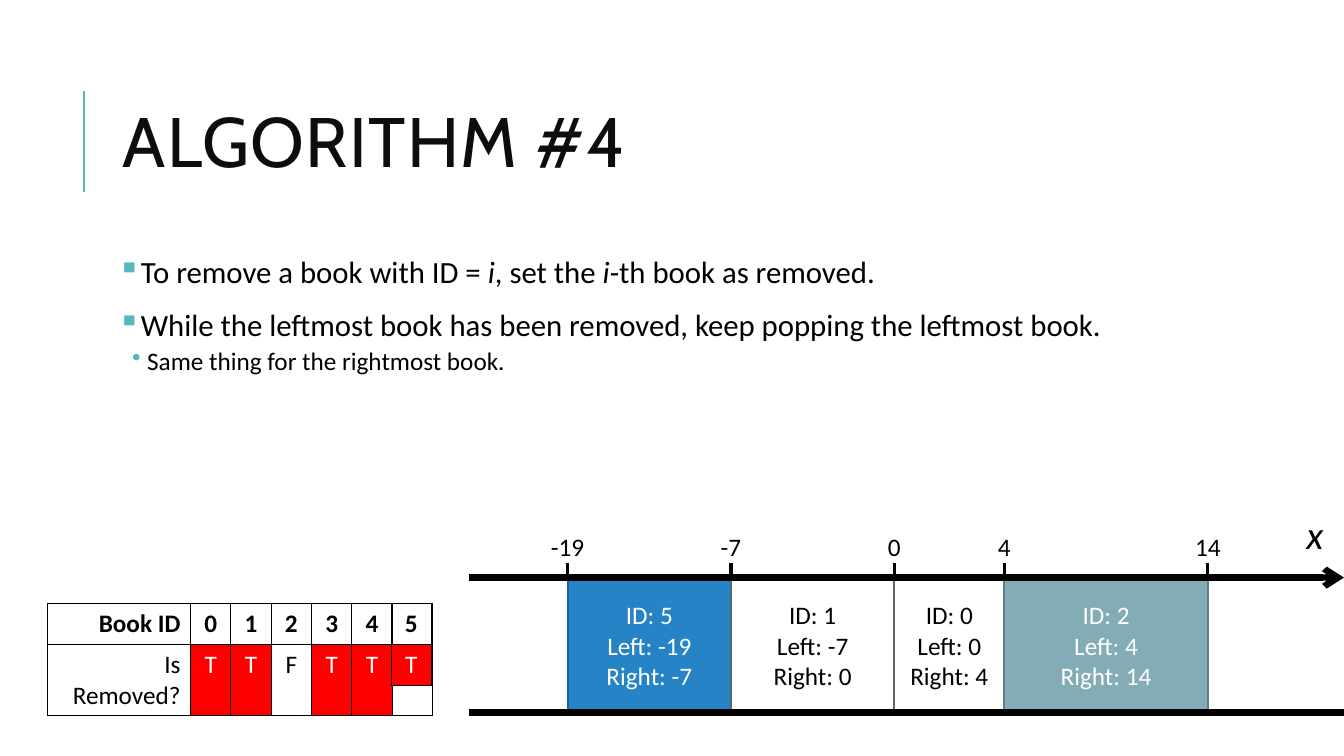
from lxml import etree
from pptx import Presentation
from pptx.dml.color import RGBColor
from pptx.enum import shapes, text
from pptx.oxml import ns
from pptx.util import Inches, Pt

BLACK = RGBColor(0x00, 0x00, 0x00)
WHITE = RGBColor(0xFF, 0xFF, 0xFF)
INK = RGBColor(0x0D, 0x0D, 0x0D)
TEAL = RGBColor(0x58, 0xB6, 0xC0)
RED = RGBColor(0xFF, 0x00, 0x00)
BLUE = RGBColor(0x26, 0x83, 0xC6)
BLUE_EDGE = RGBColor(0x1C, 0x61, 0x92)
SLATE = RGBColor(0x84, 0xAC, 0xB6)
SLATE_EDGE = RGBColor(0x62, 0x7F, 0x87)
GREY_EDGE = RGBColor(0x5A, 0x68, 0x69)

LEFT, CENTER = text.PP_ALIGN.LEFT, text.PP_ALIGN.CENTER
RIGHT, JUSTIFY = text.PP_ALIGN.RIGHT, text.PP_ALIGN.JUSTIFY

BOOKS = [
    (5, -19, -7, 5.63, 7.25, BLUE, BLUE_EDGE, WHITE),
    (1, -7, 0, 7.25, 8.87, WHITE, GREY_EDGE, BLACK),
    (0, 0, 4, 8.87, 9.96, WHITE, GREY_EDGE, BLACK),
    (2, 4, 14, 9.96, 11.98, SLATE, SLATE_EDGE, WHITE),
]


def write(p, words, size=18, font="Calibri", color=BLACK, bold=False, italic=False, align=CENTER):
    """Add one formatted run to a paragraph."""
    p.alignment = align
    r = p.add_run()
    r.text = words
    r.font.size, r.font.name = Pt(size), font
    r.font.bold, r.font.italic = bold, italic
    r.font.color.rgb = color
    return r


def sub(parent, tag, **attrs):
    """Append an XML child with the given attributes."""
    return etree.SubElement(parent, ns.qn(tag), attrs)


def add_line(s, x1, y1, x2, y2, color=BLACK, width=2.25, arrow=False):
    """Draw a straight line, with an arrowhead at its end if asked."""
    ln = s.shapes.add_connector(shapes.MSO_CONNECTOR.STRAIGHT, *map(Inches, (x1, y1, x2, y2)))
    ln.line.color.rgb, ln.line.width = color, Pt(width)
    if arrow:
        sub(ln.line._get_or_add_ln(), "a:tailEnd", type="arrow")
    sub(ln._element.spPr, "a:effectLst")


def add_box(s, x, y, w, h, wrap=True, anchor=text.MSO_ANCHOR.TOP):
    """Add a text box and return its text frame."""
    tf = s.shapes.add_textbox(*map(Inches, (x, y, w, h))).text_frame
    tf.word_wrap, tf.vertical_anchor = wrap, anchor
    return tf


def add_title(s, x, y, w, h):
    """Place the title with its accent rule."""
    add_line(s, x - 0.29, y + 0.26, x - 0.29, y + 1.26, TEAL, 1.5)
    p = add_box(s, x, y, w, h, anchor=text.MSO_ANCHOR.MIDDLE).paragraphs[0]
    p.line_spacing = 0.8
    r = write(p, "ALGORITHM #4", size=50, font="Cabin", color=INK, align=LEFT)
    r.font._element.set("spc", "100")


def add_bullet(p, runs, size, char, margin, hang, before, after):
    """Fill a bulleted paragraph from (words, italic) runs."""
    for words, italic in runs:
        write(p, words, size=size, italic=italic, align=JUSTIFY)
    p.line_spacing, p.space_before, p.space_after = 0.9, Pt(before), Pt(after)
    pPr = p._p.get_or_add_pPr()
    pPr.set("marL", str(Inches(margin)))
    pPr.set("indent", str(-Inches(hang)))
    sub(sub(pPr, "a:buClr"), "a:srgbClr", val=str(TEAL))
    sub(pPr, "a:buChar", char=char)


def add_body(s, x, y, w, h):
    """Place the bulleted explanation."""
    tf = add_box(s, x, y, w, h)
    tf.margin_left = tf.margin_right = tf.margin_top = tf.margin_bottom = Inches(0.05)
    main = (22, "▪", 0.2, 0.2, 12, 2)
    add_bullet(tf.paragraphs[0], [("To remove a book with ID = ", False), ("i", True),
                                  (", set the ", False), ("i", True),
                                  ("-th book as removed.", False)], *main)
    add_bullet(tf.add_paragraph(), [("While the leftmost book has been removed, "
                                     "keep popping the leftmost book.", False)], *main)
    p = tf.add_paragraph()
    p.level = 1
    add_bullet(p, [("Same thing for the rightmost book.", False)], 18, "•", 0.29, 0.15, 2, 4)


def add_book(s, x, y, w, h, lines, fill, edge, color):
    """Draw one book with its ID and ends."""
    sp = s.shapes.add_shape(shapes.MSO_SHAPE.RECTANGLE, *map(Inches, (x, y, w, h)))
    sp.shadow.inherit = False
    sp.fill.solid()
    sp.fill.fore_color.rgb = fill
    sp.line.color.rgb, sp.line.width = edge, Pt(1.25)
    tf = sp.text_frame
    tf.word_wrap, tf.vertical_anchor = True, text.MSO_ANCHOR.MIDDLE
    for i, words in enumerate(lines):
        write(tf.add_paragraph() if i else tf.paragraphs[0], words, color=color)


def add_tick(s, x, y, value):
    """Mark a value on the axis at height y."""
    add_line(s, x, y - 0.14, x, y - 0.04)
    tf = add_box(s, x - 0.28, y - 0.51, 0.56, 0.4, wrap=False)
    write(tf.paragraphs[0], str(value))


def add_shelf(s, x, y, w, h):
    """Draw the shelf: books, both rails, ticks and the axis name."""
    for book, left, right, x1, x2, *colors in BOOKS:
        lines = [f"ID: {book}", f"Left: {left}", f"Right: {right}"]
        add_book(s, x1, y, x2 - x1, h, lines, *colors)
    add_line(s, x, y + h, x + w, y + h, width=4.5)
    add_line(s, x, y, x + w, y, width=4.5, arrow=True)
    for book in BOOKS:
        add_tick(s, book[3], y, book[1])
    add_tick(s, BOOKS[-1][4], y, BOOKS[-1][2])
    tf = add_box(s, x + w - 0.47, y - 0.72, 0.4, 0.57, wrap=False)
    write(tf.paragraphs[0], "x", size=28, italic=True, align=LEFT)


def style_cell(cell, fill):
    """Give a cell black borders and an optional fill."""
    tcPr = cell._tc.get_or_add_tcPr()
    for side in ("a:lnL", "a:lnR", "a:lnT", "a:lnB"):
        ln = sub(tcPr, side, w=str(Pt(1)))
        sub(sub(ln, "a:solidFill"), "a:srgbClr", val=str(BLACK))
    if fill is None:
        cell.fill.background()
    else:
        cell.fill.solid()
        cell.fill.fore_color.rgb = fill


def add_grid(s, x, y, widths, rows):
    """Place a table of book IDs over their removed flags."""
    frame = s.shapes.add_table(len(rows), len(widths), Inches(x), Inches(y),
                               Inches(sum(widths)), Inches(0.405 * len(rows)))
    tbl = frame.table
    tbl.first_row = tbl.horz_banding = False
    for col, width in zip(tbl.columns, widths):
        col.width = Inches(width)
    for i, row in enumerate(rows):
        for j, words in enumerate(row):
            cell = tbl.cell(i, j)
            removed = words == "T"
            style_cell(cell, RED if removed else None)
            if words:
                write(cell.text_frame.paragraphs[0], words, bold=i == 0,
                      color=WHITE if removed else BLACK,
                      align=RIGHT if len(words) > 1 else CENTER)


def add_flags(s, x, y):
    """Place the removed flags, with the newest book in its own table."""
    add_grid(s, x, y, [1.42] + [0.4] * 6,
             [["Book ID", *"01234", ""], ["Is Removed?", *"TTFTT", ""]])
    add_grid(s, x + 3.41, y, [0.4], [["5"], ["T"]])


def main():
    """Build the slide and save it."""
    prs = Presentation()
    prs.slide_width, prs.slide_height = Inches(13.33), Inches(7.5)
    s = prs.slides.add_slide(prs.slide_layouts[6])
    add_title(s, 1.12, 0.64, 10.63, 1.64)
    add_body(s, 1.12, 2.5, 10.63, 4.4)
    add_shelf(s, 4.65, 5.73, 8.68, 1.34)
    add_flags(s, 0.47, 5.99)
    prs.save("out.pptx")


if __name__ == "__main__":
    main()
